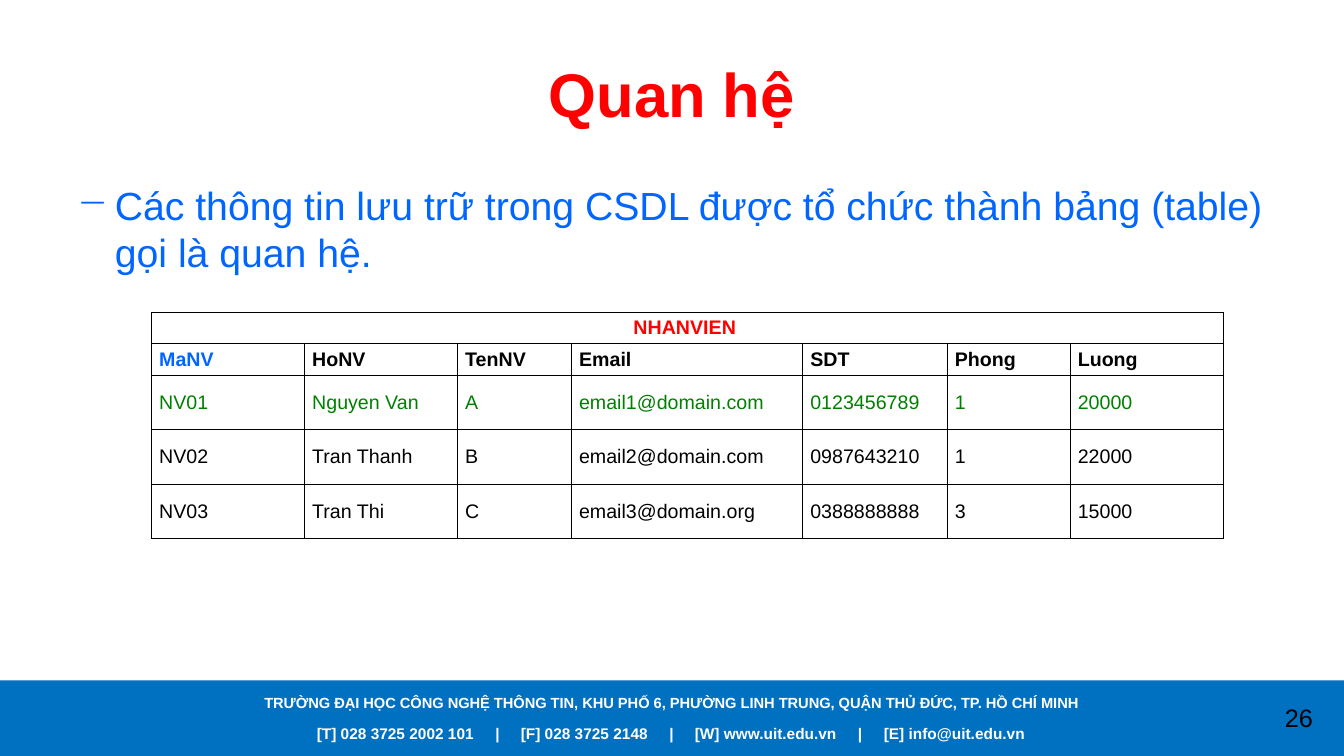
from lxml.etree import SubElement
from pptx import Presentation
from pptx.dml.color import RGBColor
from pptx.enum.shapes import MSO_SHAPE
from pptx.enum.text import MSO_ANCHOR, PP_ALIGN
from pptx.oxml import parse_xml
from pptx.oxml.ns import nsdecls, qn
from pptx.util import Pt

COLORS = {
    "white": "FFFFFF", "black": "000000", "red": "FF0000",
    "blue": "0066FF", "green": "008000", "band": "0070C0",
}


def format_paragraph(paragraph, size, color, bold=False, alignment=PP_ALIGN.LEFT):
    paragraph.alignment = alignment
    paragraph.font.name = "Arial"
    paragraph.font.size = Pt(size)
    paragraph.font.bold = bold
    paragraph.font.color.rgb = RGBColor.from_string(COLORS[color])


def add_text(slide, box, text, size, color, bold=False, alignment=PP_ALIGN.CENTER):
    shape = slide.shapes.add_textbox(*map(Pt, box))
    shape.text_frame.word_wrap = True
    shape.text_frame.text = text
    format_paragraph(shape.text_frame.paragraphs[0], size, color, bold, alignment)
    return shape


presentation = Presentation()
presentation.slide_width = Pt(960)
presentation.slide_height = Pt(540)
slide = presentation.slides.add_slide(presentation.slide_layouts[5])

footer_band = slide.shapes.add_shape(MSO_SHAPE.RECTANGLE, Pt(0), Pt(486), Pt(960), Pt(54))
footer_band.shadow.inherit = False
footer_band.fill.solid()
footer_band.fill.fore_color.rgb = RGBColor.from_string(COLORS["band"])
footer_band.line.fill.background()

add_text(slide, (0, 491.8, 960, 20),
         "TRƯỜNG ĐẠI HỌC CÔNG NGHỆ THÔNG TIN, KHU PHỐ 6, PHƯỜNG LINH TRUNG, "
         "QUẬN THỦ ĐỨC, TP. HỒ CHÍ MINH", 10.5, "white", True)

contacts = ["[T] 028 3725 2002 101", "[F] 028 3725 2148",
            "[W] www.uit.edu.vn", "[E] info@uit.edu.vn"]
contact_line = add_text(slide, (112.3, 513.4, 736, 20.9), "\t|\t".join(contacts),
                        11, "white", True, PP_ALIGN.LEFT)
contact_line.text_frame.margin_left = Pt(114)
contact_properties = contact_line.text_frame.paragraphs[0]._p.get_or_add_pPr()
tab_list = parse_xml(f"<a:tabLst {nsdecls('a')}/>")
for position in (127.5, 145.7, 251.8, 270, 386.5, 405):
    SubElement(tab_list, qn("a:tab"), pos=str(Pt(position)), algn="l")
contact_properties.insert(0, tab_list)

add_text(slide, (895.7, 498.2, 64.3, 29), "26", 18, "black")

title = slide.shapes.title
title.left, title.top, title.width, title.height = map(Pt, (48, 21.6, 864, 90))
title.text_frame.text = "Quan hệ"
title.text_frame.vertical_anchor = MSO_ANCHOR.MIDDLE
format_paragraph(title.text_frame.paragraphs[0], 44, "red", True, PP_ALIGN.CENTER)

body = add_text(slide, (48, 126, 864, 356.4),
                "Các thông tin lưu trữ trong CSDL được tổ chức thành bảng (table) gọi là quan hệ.",
                28, "blue", alignment=PP_ALIGN.LEFT)
body_paragraph = body.text_frame.paragraphs[0]
body_paragraph.space_before = Pt(5.6)
body_properties = body_paragraph._p.get_or_add_pPr()
body_properties.set("marL", str(Pt(27)))
body_properties.set("indent", str(Pt(-27)))
bullet = parse_xml(f'<a:buChar {nsdecls("a")} char="─"/>')
body_properties.find(qn("a:spcBef")).addnext(bullet)

rows = [
    ["NHANVIEN ", "", "", "", "", "", ""],
    ["MaNV", "HoNV", "TenNV", "Email", "SDT", "Phong", "Luong"],
    ["NV01", "Nguyen Van", "A", "email1@domain.com", "0123456789", "1", "20000"],
    ["NV02", "Tran Thanh", "B", "email2@domain.com", "0987643210", "1", "22000"],
    ["NV03", "Tran Thi", "C", "email3@domain.org", "0388888888", "3", "15000"],
]
row_heights = [22.4, 22.4, 39, 39, 39]
row_colors = ["red", "black", "green", "black", "black"]
column_widths = [109.3, 109.3, 81.4, 165.2, 103.2, 87.9, 109.3]

table = slide.shapes.add_table(len(rows), len(column_widths), Pt(108.3), Pt(223.2),
                               Pt(sum(column_widths)), Pt(sum(row_heights))).table
for column, width in zip(table.columns, column_widths):
    column.width = Pt(width)

for row_index, values in enumerate(rows):
    table.rows[row_index].height = Pt(row_heights[row_index])
    for column_index, value in enumerate(values):
        cell = table.cell(row_index, column_index)
        cell.text = value
        cell.vertical_anchor = MSO_ANCHOR.MIDDLE
        cell.margin_left = cell.margin_right = Pt(5.4)
        cell.margin_top = cell.margin_bottom = Pt(2.7)
        cell.fill.solid()
        cell.fill.fore_color.rgb = RGBColor.from_string(COLORS["white"])
        color = "blue" if value == "MaNV" else row_colors[row_index]
        alignment = PP_ALIGN.CENTER if row_index == 0 else PP_ALIGN.LEFT
        format_paragraph(cell.text_frame.paragraphs[0], 14, color, row_index < 2, alignment)
        cell_properties = cell._tc.get_or_add_tcPr()
        for side_index, side in enumerate(("lnL", "lnR", "lnT", "lnB")):
            border = parse_xml(
                f'<a:{side} {nsdecls("a")} w="{Pt(1)}"><a:solidFill>'
                f'<a:srgbClr val="{COLORS["black"]}"/></a:solidFill></a:{side}>')
            cell_properties.insert(side_index, border)

table.cell(0, 0).merge(table.cell(0, len(column_widths) - 1))

presentation.save("out.pptx")
